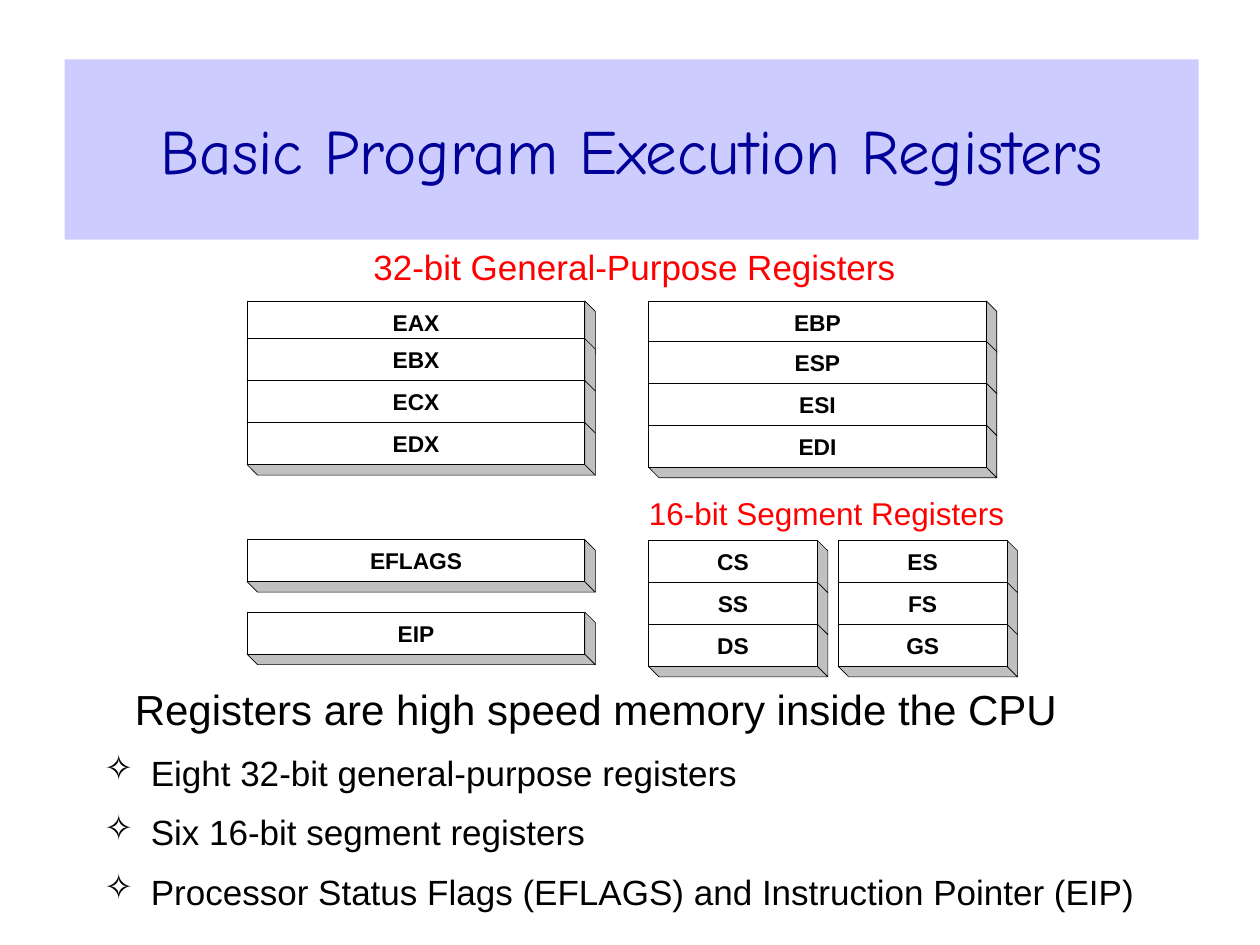
import pptx
import pptx.dml.color
import pptx.enum.shapes
import pptx.enum.text
import pptx.oxml
import pptx.oxml.ns
import pptx.util

Pt = pptx.util.Pt
ALIGN = pptx.enum.text.PP_ALIGN
ANCHOR = pptx.enum.text.MSO_ANCHOR
RECTANGLE = pptx.enum.shapes.MSO_SHAPE.RECTANGLE

ROW_HEIGHT = 24
DEPTH = 6
WIDE, NARROW = 193, 96.5
LEFT_COLUMN, RIGHT_COLUMN, LAST_COLUMN = 141.2, 370.6, 479


def color(hex_string):
    return pptx.dml.color.RGBColor.from_string(hex_string)


def style_font(paragraph, size, hex_color, name="Arial", bold=False):
    font = paragraph.font
    font.name = name
    font.size = Pt(size)
    font.bold = bold
    font.color.rgb = color(hex_color)


def style_face(shape, fill):
    shape.shadow.inherit = False
    shape.fill.solid()
    shape.fill.fore_color.rgb = color(fill)
    shape.line.color.rgb = color("000000")
    shape.line.width = Pt(0.37)


def clear_margins(frame):
    frame.margin_left = frame.margin_right = 0
    frame.margin_top = frame.margin_bottom = 0


def add_side(shapes, corners):
    points = [(Pt(x), Pt(y)) for x, y in corners]
    builder = shapes.build_freeform(*points[0])
    builder.add_line_segments(points[1:], close=True)
    style_face(builder.convert_to_shape(), "C0C0C0")


def add_register(shapes, name, left, top, width):
    right, bottom = left + width, top + ROW_HEIGHT
    far_corner = (right + DEPTH, bottom + DEPTH)
    add_side(shapes, [(right, bottom), (left, bottom),
                      (left + DEPTH, bottom + DEPTH), far_corner])
    add_side(shapes, [far_corner, (right, bottom), (right, top),
                      (right + DEPTH, top + DEPTH)])
    front = shapes.add_shape(RECTANGLE, Pt(left), Pt(top), Pt(width), Pt(ROW_HEIGHT))
    style_face(front, "FFFFFF")
    frame = front.text_frame
    clear_margins(frame)
    frame.vertical_anchor = ANCHOR.MIDDLE
    label = frame.paragraphs[0]
    label.text = name
    label.alignment = ALIGN.CENTER
    style_font(label, 13, "000000", bold=True)


def add_register_stack(shapes, names, left, top, width, first_step=ROW_HEIGHT):
    for row, name in enumerate(names):
        offset = first_step + (row - 1) * ROW_HEIGHT if row else 0
        add_register(shapes, name, left, top + offset, width)


def add_heading(shapes, text, size, left, top, width, height):
    box = shapes.add_textbox(Pt(left), Pt(top), Pt(width), Pt(height))
    frame = box.text_frame
    frame.word_wrap = True
    clear_margins(frame)
    heading = frame.paragraphs[0]
    heading.text = text
    style_font(heading, size, "FF0000")


def add_register_diagram(slide):
    shapes = slide.shapes.add_group_shape().shapes
    add_heading(shapes, "32-bit General-Purpose Registers", 20, 213.4, 140.5, 310, 24)
    add_register_stack(shapes, ["EAX", "EBX", "ECX", "EDX"],
                       LEFT_COLUMN, 172, WIDE, first_step=21.5)
    add_register_stack(shapes, ["EBP", "ESP", "ESI", "EDI"],
                       RIGHT_COLUMN, 172, WIDE, first_step=23)
    add_register(shapes, "EFLAGS", LEFT_COLUMN, 308.4, WIDE)
    add_register(shapes, "EIP", LEFT_COLUMN, 349.8, WIDE)
    add_heading(shapes, "16-bit Segment Registers", 18, 370.8, 282.4, 215, 21.5)
    add_register_stack(shapes, ["CS", "SS", "DS"], RIGHT_COLUMN, 308.8, NARROW)
    add_register_stack(shapes, ["ES", "FS", "GS"], LAST_COLUMN, 308.8, NARROW)


def add_title(slide, left, top, width, height):
    title = slide.shapes.title
    title.left, title.top = Pt(left), Pt(top)
    title.width, title.height = Pt(width), Pt(height)
    title.fill.solid()
    title.fill.fore_color.rgb = color("CCCCFF")
    title.text_frame.vertical_anchor = ANCHOR.MIDDLE
    heading = title.text_frame.paragraphs[0]
    heading.text = "Basic Program Execution Registers"
    heading.alignment = ALIGN.CENTER
    style_font(heading, 36, "000099", name="Comic Neue")


def add_star_bullet(paragraph):
    properties = paragraph._p.get_or_add_pPr()
    properties.set("marL", str(Pt(62.6)))
    properties.set("indent", str(Pt(-26.6)))
    bullet = pptx.oxml.parse_xml(
        f'<a:buChar {pptx.oxml.ns.nsdecls("a")} char="✧"/>')
    properties.append(bullet)


def add_summary(slide, left, top, width, height):
    box = slide.shapes.add_textbox(Pt(left), Pt(top), Pt(width), Pt(height))
    frame = box.text_frame
    frame.word_wrap = True
    lead = frame.paragraphs[0]
    lead.text = "Registers are high speed memory inside the CPU"
    lead.alignment = ALIGN.CENTER
    style_font(lead, 24, "000000")
    for text in ["Eight 32-bit general-purpose registers",
                 "Six 16-bit segment registers",
                 "Processor Status Flags (EFLAGS) and Instruction Pointer (EIP)"]:
        point = frame.add_paragraph()
        point.text = text
        point.level = 1
        point.space_before = Pt(10)
        add_star_bullet(point)
        style_font(point, 20, "000000")


def main():
    presentation = pptx.Presentation()
    presentation.slide_width, presentation.slide_height = Pt(720), Pt(540)
    slide = presentation.slides.add_slide(presentation.slide_layouts[5])
    add_title(slide, 37, 34, 648, 103)
    add_summary(slide, 16.5, 387, 648, 152)
    add_register_diagram(slide)
    presentation.save("out.pptx")


if __name__ == "__main__":
    main()
